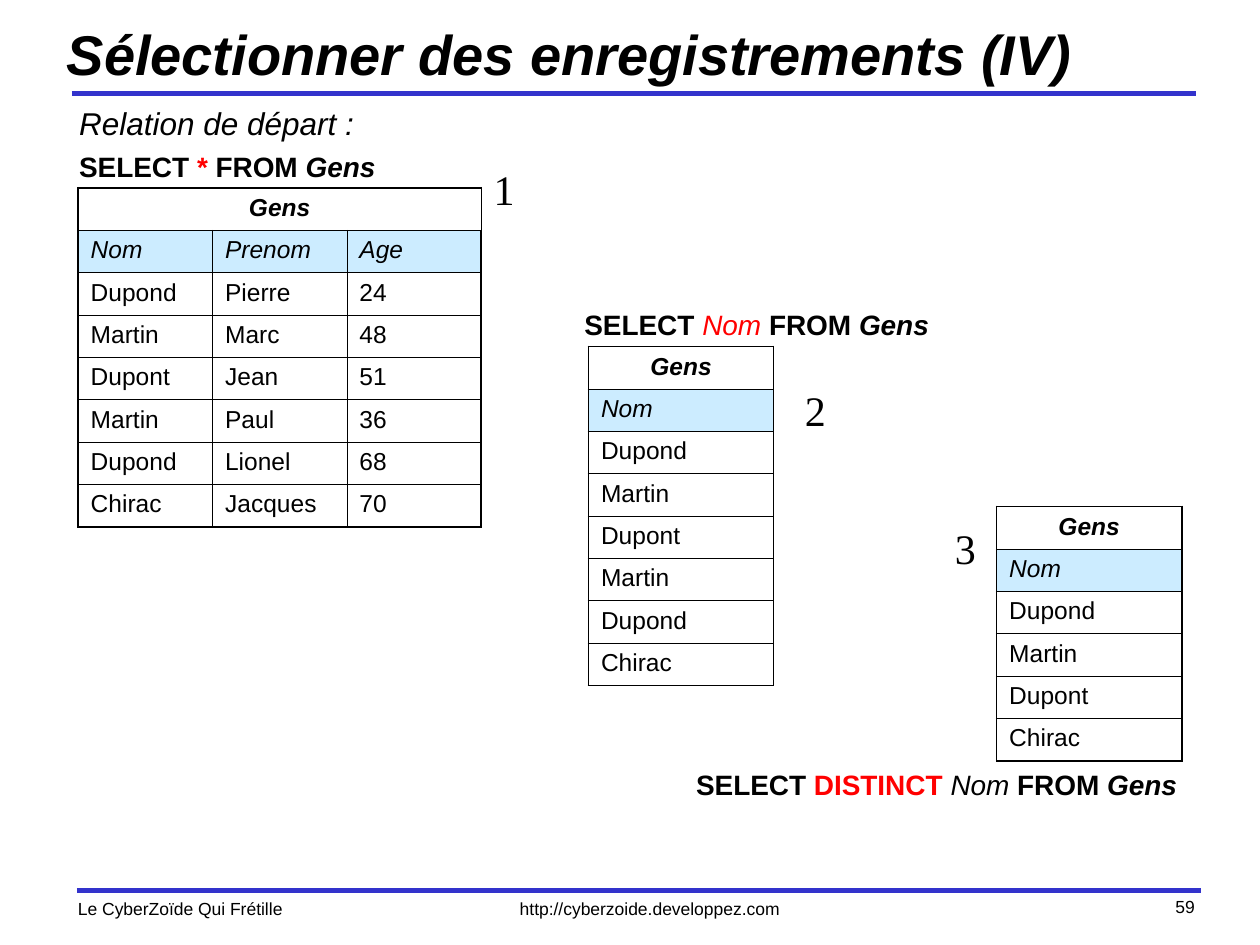
import pptx
import pptx.dml.color
import pptx.enum.shapes
import pptx.enum.text
import pptx.oxml
import pptx.oxml.ns
import pptx.util
from dataclasses import dataclass

Inches = pptx.util.Inches
Pt = pptx.util.Pt
LEFT, CENTER, RIGHT = (getattr(pptx.enum.text.PP_ALIGN, name)
                       for name in ("LEFT", "CENTER", "RIGHT"))


@dataclass(frozen=True)
class Theme:
    ink: str = "000000"
    accent: str = "FF0000"
    rule: str = "3333CC"
    header: str = "CCECFF"
    sans: str = "Arial"
    serif: str = "Times New Roman"
    title: int = 32
    number: int = 24
    lead: int = 18
    query: int = 16
    cell: int = 14
    footer: int = 10
    rule_width: float = 3
    outer: float = 1.08
    inner: float = 0.45


THEME = Theme()
ROW_HEIGHT = int(Inches(2.69) / 8)
BOLD = {"bold": True}
ITALIC = {"italic": True}
BOLD_ITALIC = {"bold": True, "italic": True}


def color(value):
    return pptx.dml.color.RGBColor.from_string(value)


def write_para(para, spans, size, align=LEFT, font=THEME.sans):
    """Fill a paragraph with (text, format) spans."""
    para.alignment = align
    for text, formats in spans:
        span = para.add_run()
        span.text = text
        values = {"name": font, "size": Pt(size), "bold": False, "italic": False}
        values.update(formats)
        span.font.color.rgb = color(values.pop("ink", THEME.ink))
        for name, value in values.items():
            setattr(span.font, name, value)


def add_text(page, box, spans, size, align=LEFT, font=THEME.sans):
    frame = page.shapes.add_textbox(*map(Inches, box)).text_frame
    frame.word_wrap = True
    write_para(frame.paragraphs[0], spans, size, align, font)
    return frame


def add_rule(page, left, top, width):
    line = page.shapes.add_connector(
        pptx.enum.shapes.MSO_CONNECTOR.STRAIGHT,
        Inches(left), Inches(top), Inches(left + width), Inches(top))
    line.line.color.rgb = color(THEME.rule)
    line.line.width = Pt(THEME.rule_width)
    properties = line._element.spPr
    properties.append(properties.makeelement(pptx.oxml.ns.qn("a:effectLst"), {}))


def set_borders(cell, widths):
    """Draw the borders given in the order left, right, top, bottom."""
    properties = cell._tc.get_or_add_tcPr()
    for index, (side, width) in enumerate(zip("LRTB", widths)):
        properties.insert(index, pptx.oxml.parse_xml(
            f'<a:ln{side} {pptx.oxml.ns.nsdecls("a")} w="{Pt(width)}">'
            f'<a:solidFill><a:srgbClr val="{THEME.ink}"/></a:solidFill></a:ln{side}>'))


def add_relation(page, box, names, records):
    """A relation: merged name row, tinted attribute row, then the records."""
    left, top, width = map(Inches, box)
    rows = [["Gens"] + [""] * (len(names) - 1), names, *records]
    last_row, last_column = len(rows) - 1, len(names) - 1
    table = page.shapes.add_table(len(rows), len(names), left, top, width,
                                  ROW_HEIGHT * len(rows)).table
    table.first_row = table.horz_banding = False
    for row in table.rows:
        row.height = ROW_HEIGHT
    if last_column:
        table.cell(0, 0).merge(table.cell(0, last_column))

    styles = {0: BOLD_ITALIC, 1: ITALIC}
    for r, values in enumerate(rows):
        for c, value in enumerate(values):
            cell = table.cell(r, c)
            if r == 1:
                cell.fill.solid()
                cell.fill.fore_color.rgb = color(THEME.header)
            else:
                cell.fill.background()
            at_edge = (c == 0, c == last_column, r == 0, r == last_row)
            set_borders(cell, [THEME.outer if edge else THEME.inner for edge in at_edge])
            if value:
                write_para(cell.text_frame.paragraphs[0], [(value, styles.get(r, {}))],
                           THEME.cell, CENTER if r == 0 else LEFT)


def add_number(page, box, number):
    add_text(page, box, [(number, {})], THEME.number, font=THEME.serif)


def add_heading(page, box):
    title = page.shapes.title
    for name, value in zip(("left", "top", "width", "height"), box):
        setattr(title, name, Inches(value))
    frame = title.text_frame
    frame.word_wrap = True
    frame.auto_size = pptx.enum.text.MSO_AUTO_SIZE.NONE
    frame.vertical_anchor = pptx.enum.text.MSO_ANCHOR.MIDDLE
    write_para(frame.paragraphs[0],
               [("Sélectionner des enregistrements (IV)", BOLD_ITALIC)], THEME.title)
    add_rule(page, 0.57, 0.74, 8.92)


def add_footer(page, left, top):
    add_rule(page, left + 0.09, top - 0.01, 8.92)
    for offset, rise, width, text, align in (
            (0, 0, 3.01, "Le CyberZoïde Qui Frétille", LEFT),
            (3.13, 0, 3.01, "http://cyberzoide.developpez.com", CENTER),
            (6.98, 0.02, 2.08, "59", RIGHT)):
        add_text(page, (left + offset, top - rise, width, 0.27),
                 [(text, {})], THEME.footer, align)


def add_full_selection(page, left, top, people):
    """Step 1: every column of every record."""
    frame = add_text(page, (left, top, 4.4, 0.85),
                     [("Relation de départ :", ITALIC)], THEME.lead)
    para = frame.add_paragraph()
    para.space_before = Pt(4)
    write_para(para, [("SELECT ", BOLD), ("*", {"bold": True, "ink": THEME.accent}),
                      (" FROM ", BOLD), ("Gens", BOLD_ITALIC)], THEME.query)
    add_relation(page, (left + 0.09, top + 0.71, 3.2), ["Nom", "Prenom", "Age"], people)
    add_number(page, (left + 3.29, top + 0.47, 0.43, 0.5), "1")


def add_name_selection(page, left, top, names):
    """Step 2: one column, repeats kept."""
    add_text(page, (left, top, 4.07, 0.48),
             [("SELECT ", BOLD), ("Nom", {"italic": True, "ink": THEME.accent}),
              (" FROM ", BOLD), ("Gens", BOLD_ITALIC)], THEME.query)
    add_relation(page, (left + 0.13, top + 0.36, 1.47), ["Nom"], [[n] for n in names])
    add_number(page, (left + 1.75, top + 0.61, 0.41, 0.5), "2")


def add_distinct_selection(page, left, top, names):
    """Step 3: one column, repeats dropped."""
    add_relation(page, (left + 2.54, top, 1.47), ["Nom"],
                 [[n] for n in dict.fromkeys(names)])
    add_number(page, (left + 2.11, top + 0.08, 0.38, 0.5), "3")
    add_text(page, (left, top + 2.02, 4.07, 0.38),
             [("SELECT ", BOLD), ("DISTINCT ", {"bold": True, "ink": THEME.accent}),
              ("Nom", ITALIC), (" FROM ", BOLD), ("Gens", BOLD_ITALIC)],
             THEME.query, RIGHT)


def main():
    deck = pptx.Presentation()
    deck.slide_width, deck.slide_height = Inches(10), Inches(7.5)
    page = deck.slides.add_slide(deck.slide_layouts.get_by_name("Title Only"))
    people = [
        ["Dupond", "Pierre", "24"],
        ["Martin", "Marc", "48"],
        ["Dupont", "Jean", "51"],
        ["Martin", "Paul", "36"],
        ["Dupond", "Lionel", "68"],
        ["Chirac", "Jacques", "70"],
    ]
    names = [person[0] for person in people]
    add_heading(page, (0.43, 0.09, 8.96, 0.67))
    add_full_selection(page, 0.53, 0.78, people)
    add_name_selection(page, 4.54, 2.39, names)
    add_distinct_selection(page, 5.37, 4.02, names)
    add_footer(page, 0.52, 7.08)
    deck.save("out.pptx")


if __name__ == "__main__":
    main()
